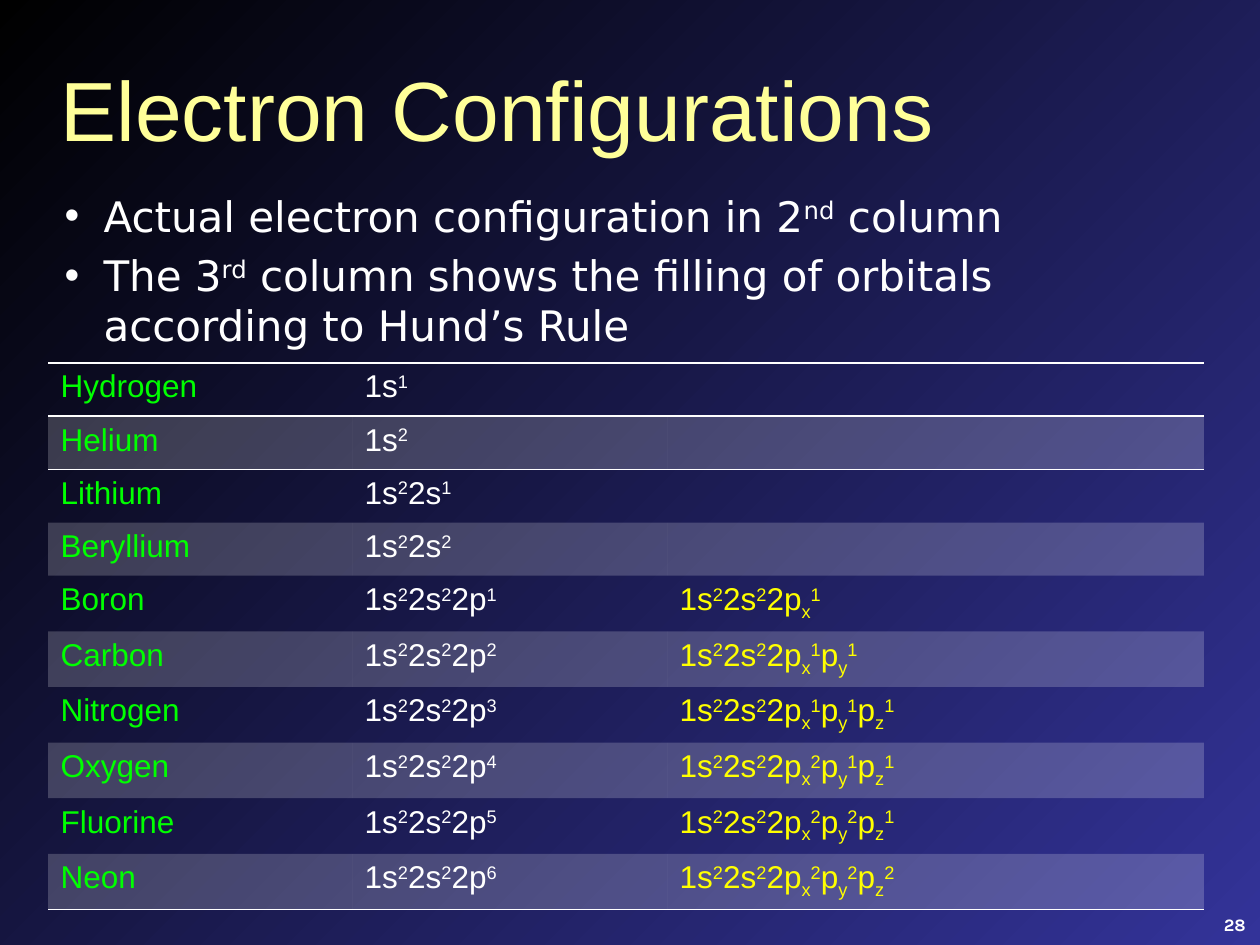
"""Build the slide on electron configurations of the first ten elements."""
import dataclasses

import pptx
import pptx.dml.color
import pptx.enum.text
import pptx.oxml
import pptx.util


@dataclasses.dataclass(frozen=True)
class Theme:
    dark: str = "000000"
    blue: str = "333399"
    cream: str = "FFFF99"
    white: str = "FFFFFF"
    green: str = "00FF00"
    yellow: str = "FFFF00"
    sans: str = "Arial"
    wide: str = "DejaVu Sans"
    small: str = "Karla"
    title: int = 48
    body: int = 24
    cell: int = 18
    page: int = 10


theme = Theme()
color = pptx.dml.color.RGBColor.from_string
SPACE = 'xmlns:a="http://schemas.openxmlformats.org/drawingml/2006/main"'


def px(count):
    return pptx.util.Emu(round(count * 914400 / 126))


def write(par, text, face, size, tint):
    for i, part in enumerate(text.split("^")):
        for j, piece in enumerate(part.split("_")):
            if piece:
                run = par.add_run()
                run.text = piece
                if i % 2 or j % 2:
                    base = "30000" if i % 2 else "-25000"
                    run._r.get_or_add_rPr().set("baseline", base)
    par.font.name = face
    par.font.size = pptx.util.Pt(size)
    par.font.color.rgb = color(tint)


deck = pptx.Presentation()
deck.slide_width, deck.slide_height = px(1260), px(945)
slide = deck.slides.add_slide(deck.slide_layouts[1])

fill = slide.background.fill
fill.gradient()
fill.gradient_angle = 315
for stop, tint in zip(fill.gradient_stops, (theme.dark, theme.blue)):
    stop.color.rgb = color(tint)

title = slide.shapes.title
title.left, title.top, title.width, title.height = map(px, (48, 50, 1160, 115))
frame = title.text_frame
frame.auto_size = pptx.enum.text.MSO_AUTO_SIZE.SHAPE_TO_FIT_TEXT
frame.vertical_anchor = pptx.enum.text.MSO_ANCHOR.MIDDLE
par = frame.paragraphs[0]
par.alignment = pptx.enum.text.PP_ALIGN.LEFT
write(par, "Electron Configurations", theme.sans, theme.title, theme.cream)

page = slide.shapes.add_textbox(px(1208), px(902), px(50), px(44))
frame = page.text_frame
frame.word_wrap = True
frame.vertical_anchor = pptx.enum.text.MSO_ANCHOR.MIDDLE
par = frame.paragraphs[0]
par.alignment = pptx.enum.text.PP_ALIGN.RIGHT
write(par, "28", theme.small, theme.page, theme.white)
par.font.bold = True

body = slide.placeholders[1]
body.left, body.top, body.width, body.height = map(px, (52, 184, 1155, 718))
frame = body.text_frame
points = (
    "Actual electron configuration in 2^nd^ column",
    "The 3^rd^ column shows the filling of orbitals according to Hund’s Rule",
)
for i, text in enumerate(points):
    par = frame.add_paragraph() if i else frame.paragraphs[0]
    props = par._p.get_or_add_pPr()
    props.set("marL", str(px(39)))
    props.set("indent", str(-px(39)))
    par.space_before = pptx.util.Pt(5 if i else 0)
    write(par, text, theme.wide, theme.body, theme.white)

core = "1s^2^2s^2^2p"
rows = (
    ("Hydrogen", "1s^1^", ""),
    ("Helium", "1s^2^", ""),
    ("Lithium", "1s^2^2s^1^", ""),
    ("Beryllium", "1s^2^2s^2^", ""),
    ("Boron", core + "^1^", core + "_x_^1^"),
    ("Carbon", core + "^2^", core + "_x_^1^p_y_^1^"),
    ("Nitrogen", core + "^3^", core + "_x_^1^p_y_^1^p_z_^1^"),
    ("Oxygen", core + "^4^", core + "_x_^2^p_y_^1^p_z_^1^"),
    ("Fluorine", core + "^5^", core + "_x_^2^p_y_^2^p_z_^1^"),
    ("Neon", core + "^6^", core + "_x_^2^p_y_^2^p_z_^2^"),
)
widths = (304, 315, 537)
tints = (theme.green, theme.white, theme.yellow)
last = len(rows) - 1
grid = slide.shapes.add_table(
    len(rows), len(widths), px(48), px(363), px(sum(widths)), px(532)
).table
grid.first_row = grid.horz_banding = False
# style = "No Style, No Grid"
grid._tbl.tblPr[0].text = "{2D5ABB26-0587-4C30-8999-92F81FD0307C}"
for col, width in zip(grid.columns, widths):
    col.width = px(width)

for i, row in enumerate(rows):
    sides = {0: ("lnT", "lnB"), 1: ("lnT",), last: ("lnB",)}.get(i, ())
    for j, text in enumerate(row):
        cell = grid.cell(i, j)
        write(cell.text_frame.paragraphs[0], text, theme.sans, theme.cell, tints[j])
        props = cell._tc.get_or_add_tcPr()
        if i % 2:
            cell.fill.solid()
            cell.fill.fore_color.rgb = color(theme.white)
            props[0][0].append(pptx.oxml.parse_xml(f'<a:alpha {SPACE} val="20000"/>'))
        else:
            cell.fill.background()
        for k, side in enumerate(sides):
            props.insert(k, pptx.oxml.parse_xml(
                f'<a:{side} {SPACE} w="12700"><a:solidFill>'
                f'<a:srgbClr val="{theme.white}"/></a:solidFill></a:{side}>'))

deck.save("out.pptx")
